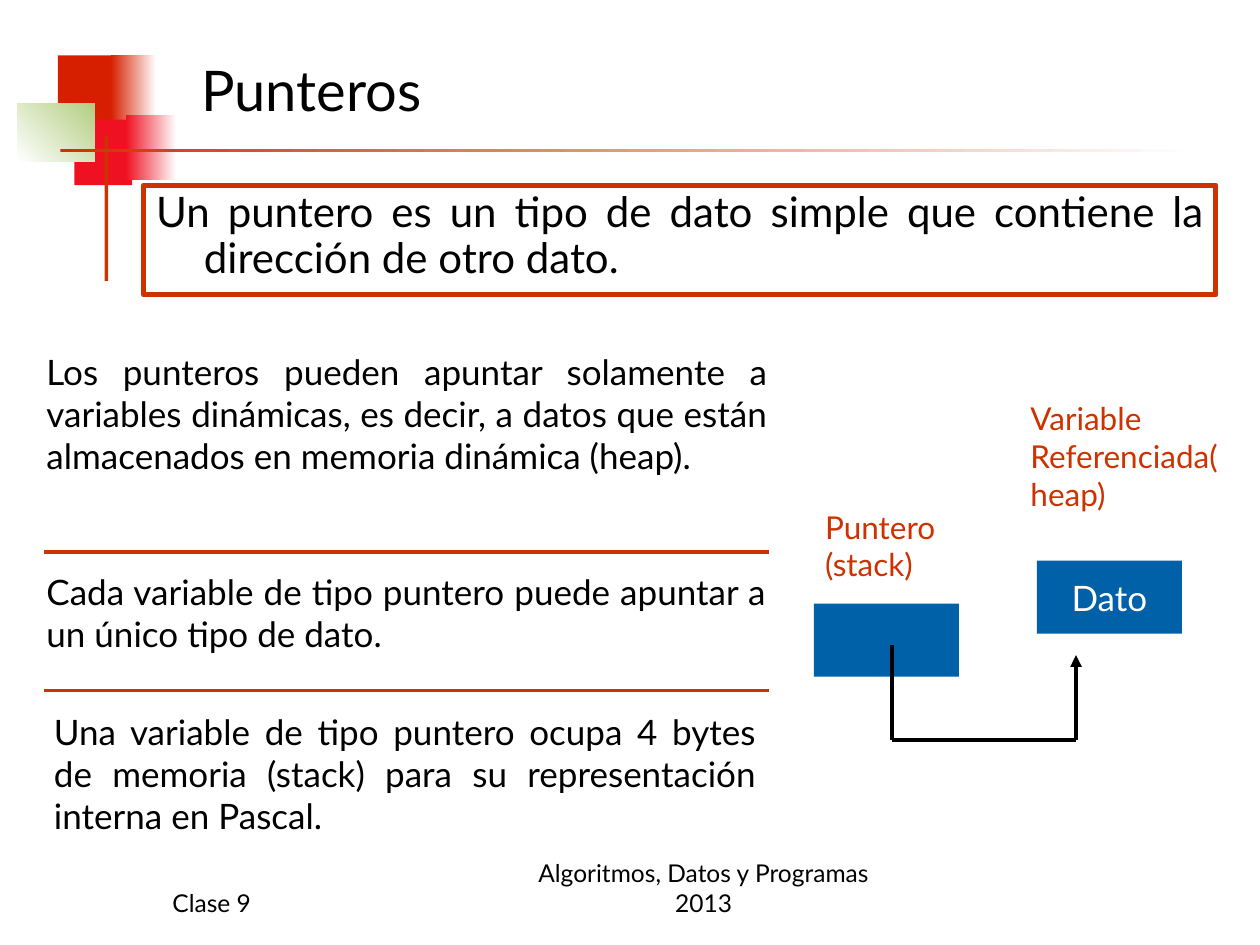
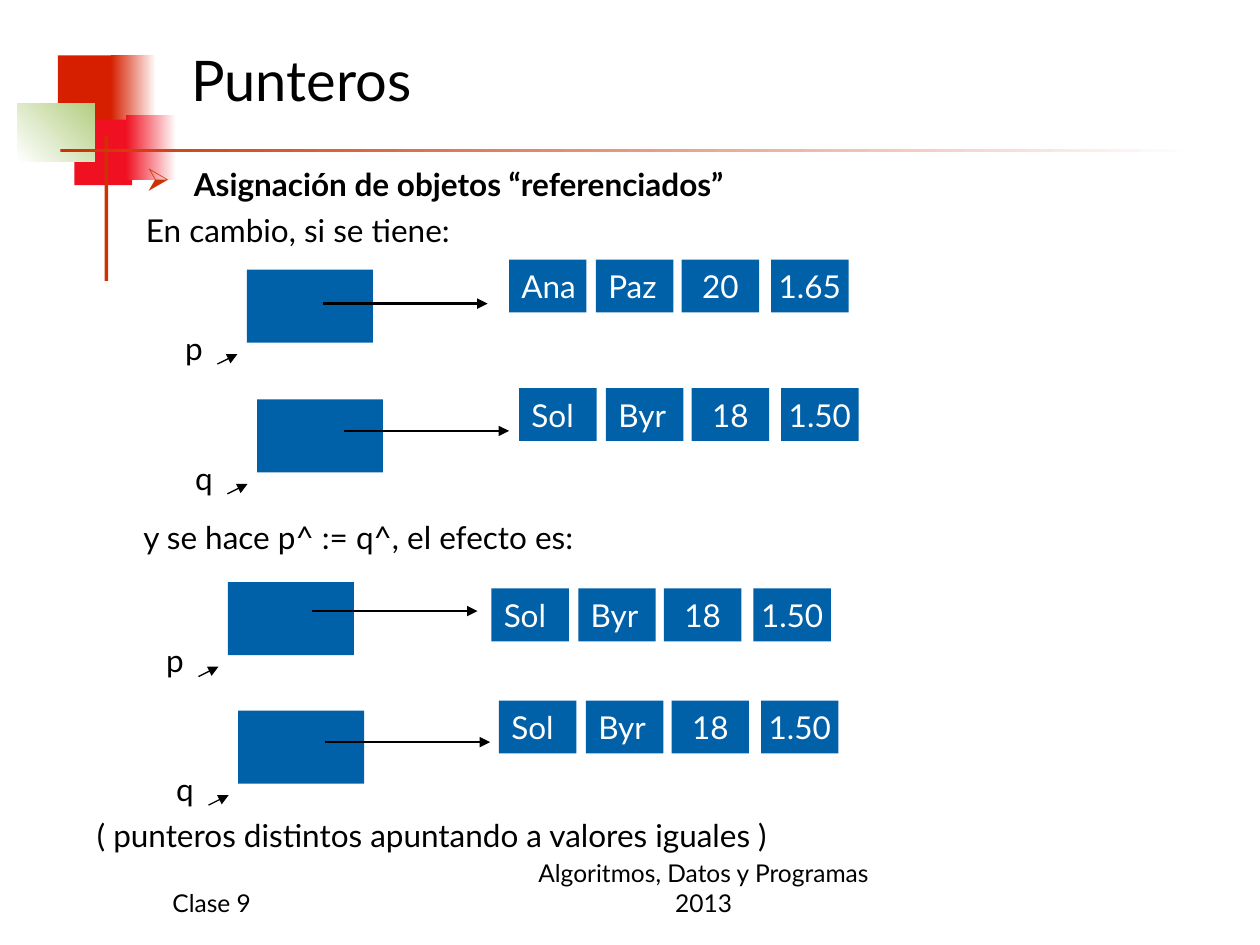
from lxml import etree
from pptx import Presentation
from pptx import util as u
from pptx.dml.color import RGBColor
from pptx.enum import shapes, text
from pptx.oxml.ns import qn

BLACK = RGBColor(0x00, 0x00, 0x00)
WHITE = RGBColor(0xFF, 0xFF, 0xFF)
RUST = RGBColor(0xCC, 0x33, 0x00)
RED = RGBColor(0xD6, 0x1F, 0x00)
CRIMSON = RGBColor(0xEF, 0x11, 0x21)
GREEN = RGBColor(0xB3, 0xCE, 0x82)
BLUE = RGBColor(0x00, 0x60, 0xA8)
FONT = "Lato"
LEFT, CENTER, JUSTIFY = text.PP_ALIGN.LEFT, text.PP_ALIGN.CENTER, text.PP_ALIGN.JUSTIFY
TOP, MIDDLE, BOTTOM = text.MSO_ANCHOR.TOP, text.MSO_ANCHOR.MIDDLE, text.MSO_ANCHOR.BOTTOM

prs = Presentation()
prs.slide_width, prs.slide_height = u.Inches(10), u.Inches(7.5)
# All places are given in cells of a grid of 100 columns by 75 rows
COL, ROW = prs.slide_width / 100, prs.slide_height / 75


def box(sl, at, words="", fill=None, size=18, color=BLACK, align=LEFT,
        anchor=TOP, wrap=True):
    """Add a text box, or a rectangle if fill is a colour or (from, to, angle)."""
    x, y, w, h = at
    place = [int(v) for v in (x * COL, y * ROW, w * COL, h * ROW)]
    if fill is None:
        sp = sl.shapes.add_textbox(*place)
    else:
        sp = sl.shapes.add_shape(shapes.MSO_SHAPE.RECTANGLE, *place)
        sp.shadow.inherit = False
        sp.line.fill.background()
        if isinstance(fill, RGBColor):
            sp.fill.solid()
            sp.fill.fore_color.rgb = fill
        else:
            sp.fill.gradient()
            sp.fill.gradient_angle = fill[2]
            for stop, shade in zip(sp.fill.gradient_stops, fill):
                stop.color.rgb = shade
    if words:
        tf = sp.text_frame
        tf.word_wrap, tf.vertical_anchor = wrap, anchor
        for i, line in enumerate(words.split("\n")):
            p = tf.paragraphs[0] if i == 0 else tf.add_paragraph()
            p.alignment = align
            r = p.add_run()
            r.text = line
            r.font.name, r.font.size, r.font.color.rgb = FONT, u.Pt(size), color
    return sp


def connect(sl, start, end, width, color=BLACK, arrow=False):
    (x1, y1), (x2, y2) = start, end
    c = sl.shapes.add_connector(shapes.MSO_CONNECTOR.STRAIGHT, int(x1 * COL),
                                int(y1 * ROW), int(x2 * COL), int(y2 * ROW))
    c.line.width, c.line.color.rgb = u.Pt(width), color
    pr = c.element.spPr
    if arrow:
        etree.SubElement(pr.find(qn("a:ln")), qn("a:tailEnd"), type="triangle")
    etree.SubElement(pr, qn("a:effectLst"))


# Shared by both slides: ornament, title and footers
ORNAMENT = [
    ((4.6, 4.4, 4.8, 5.2), RED),
    ((8.8, 4.4, 3.6, 5.2), (RED, WHITE, 0)),
    ((5.9, 9.5, 4.6, 5.2), CRIMSON),
    ((10, 9.1, 4, 5.2), (CRIMSON, WHITE, 0)),
    ((1.4, 8.2, 6.1, 4.6), (WHITE, GREEN, 45)),
    ((8.3, 10.8, 0.3, 11.5), RUST),
    ((4.8, 11.8, 90, 0.3), (RUST, WHITE, 0)),
]
slides = []
for title_at in [(15, 2.3, 81.1, 9.6), (14.2, 2.3, 82.7, 8)]:
    sl = prs.slides.add_slide(prs.slide_layouts[6])
    for at, fill in ORNAMENT:
        box(sl, at, fill=fill)
    box(sl, title_at, "Punteros", size=32, anchor=MIDDLE)
    box(sl, (12.7, 68.3, 20.8, 5), "Clase 9", size=14, anchor=BOTTOM)
    box(sl, (40, 68.3, 31.7, 5), "Algoritmos, Datos y Programas 2013",
        size=14, align=CENTER, anchor=BOTTOM)
    slides.append(sl)
concept, assignment = slides

# Slide 1: what a pointer is
definition = box(concept, (11.4, 14.7, 85.1, 8.7),
                 "Un puntero es un tipo de dato simple que contiene la dirección de otro dato.",
                 size=24, align=JUSTIFY)
definition.line.color.rgb, definition.line.width = RUST, u.Pt(3)
definition.text_frame.paragraphs[0].line_spacing = 0.9

FACTS = [
    ((2.7, 27.3, 59.2, 14.4), "Los punteros pueden apuntar solamente a variables dinámicas, "
     "es decir, a datos que están almacenados en memoria dinámica (heap)."),
    ((2.7, 44.8, 59.1, 7.7), "Cada variable de tipo puntero puede apuntar a un único tipo de dato."),
    ((3.3, 55.9, 57.7, 11), "Una variable de tipo puntero ocupa 4 bytes de memoria (stack) "
     "para su representación interna en Pascal."),
]
for at, fact in FACTS:
    box(concept, at, fact, size=20, align=JUSTIFY)
for y in (43.8, 54.8):
    connect(concept, (3.5, y), (61, y), 2.25, RUST)

box(concept, (64.6, 47.9, 11.5, 5.8), fill=BLUE)
box(concept, (82.3, 44.5, 11.5, 5.8), "Dato", BLUE, 20, WHITE, CENTER, MIDDLE, False)
box(concept, (64.5, 39.8, 12.3, 7), "Puntero (stack)", color=RUST)
box(concept, (80.8, 31.2, 16.9, 10), "Variable Referenciada(heap)", color=RUST)
elbow = [(70.8, 51.2), (70.8, 58.7), (85.4, 58.7), (85.4, 52)]
for start, end in zip(elbow, elbow[1:]):
    connect(concept, start, end, 2.25, arrow=end == elbow[-1])

# Slide 2: assigning the referenced objects
intro = box(assignment, (10.6, 12.6, 78.2, 62.4),
            "Asignación de objetos “referenciados”\nEn cambio, si se tiene:")
heading, condition = intro.text_frame.paragraphs
heading.runs[0].font.bold = True
condition.space_before = u.Pt(4.5)
bullet = heading._p.get_or_add_pPr()
bullet_color = etree.SubElement(bullet, qn("a:buClr"))
etree.SubElement(bullet_color, qn("a:srgbClr"), val=str(RUST))
etree.SubElement(bullet, qn("a:buChar"), char="➢")

for p in (definition.text_frame.paragraphs[0], heading, condition):
    pPr = p._p.get_or_add_pPr()
    pPr.set("marL", str(u.Inches(0.38)))
    pPr.set("indent", str(-u.Inches(0.38)))

box(assignment, (10.4, 40.6, 79, 4), "y se hace p^ := q^, el efecto es:")
box(assignment, (6.7, 64.3, 69.2, 4), "( punteros distintos apuntando a valores iguales )")

ANA = ("Ana", "Paz", "20", "1.65")
SOL = ("Sol", "Byr", "18", "1.50")
FIELDS = [(0, LEFT), (6.9, LEFT), (13.7, CENTER), (20.8, CENTER)]
# name, pointer box, arrow start, first field, record
POINTERS = [
    ("p", (19.6, 21.4), (25.6, 24.1), (40.4, 20.6), ANA),
    ("q", (20.4, 31.7), (27.3, 34.2), (41.2, 30.8), SOL),
    ("p", (18.1, 46.2), (24.8, 48.5), (39, 46.7), SOL),
    ("q", (18.9, 56.4), (25.8, 58.9), (39.6, 55.6), SOL),
]
for name, (x, y), (ax, ay), (fx, fy), record in POINTERS:
    box(assignment, (x, y, 10, 5.8), fill=BLUE)
    box(assignment, (x - 5.9, y + 4.2, 8.5, 4), name)
    connect(assignment, (x - 2.35, y + 7.5), (x - 0.75, y + 6.7), 0.75, arrow=True)
    connect(assignment, (ax, ay), (ax + 13.1, ay), 1.5, arrow=True)
    for (dx, align), value in zip(FIELDS, record):
        box(assignment, (fx + dx, fy, 6.15, 4.2), value, BLUE, 18, WHITE, align, MIDDLE, False)

prs.save("out.pptx")
